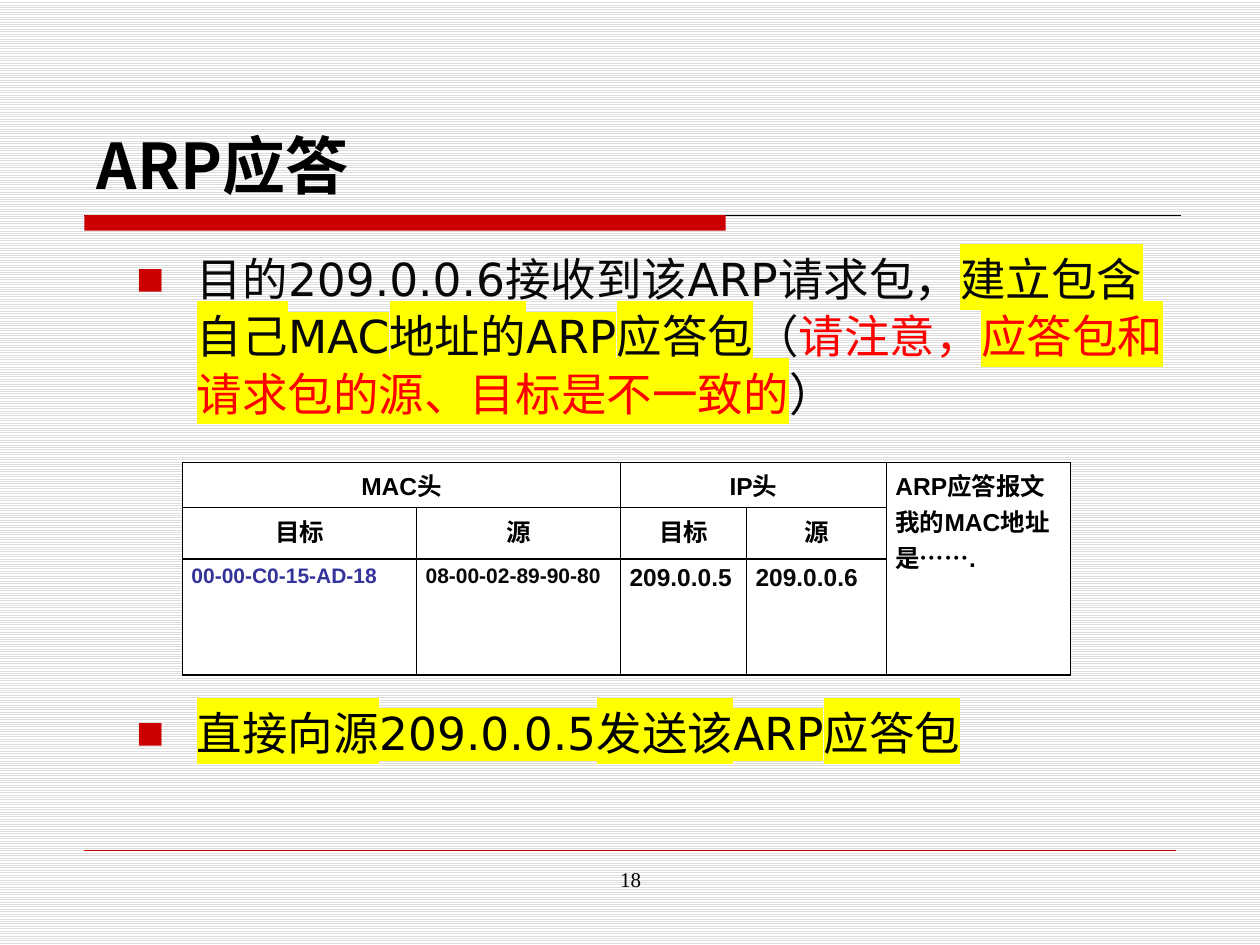
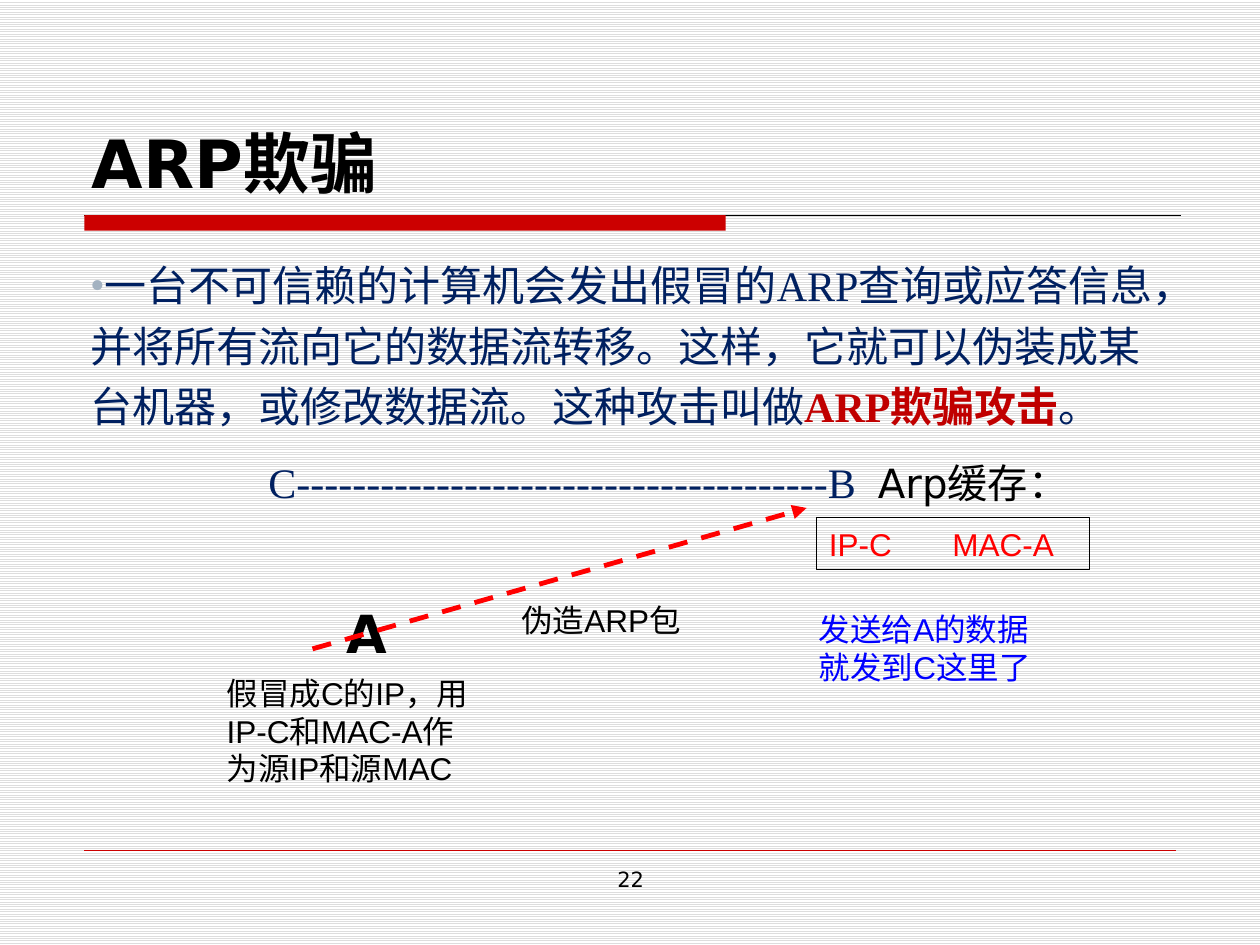
from lxml import etree
from pptx import Presentation
from pptx.dml.color import RGBColor
from pptx.enum.dml import MSO_LINE, MSO_PATTERN
from pptx.enum.shapes import MSO_CONNECTOR, MSO_SHAPE
from pptx.enum.text import MSO_ANCHOR, PP_ALIGN
from pptx.oxml.ns import qn
from pptx.util import Cm, Pt

BLACK, INK, WHITE, RED = "000000", "080808", "FFFFFF", "FF0000"
ACCENT, STRIPE, YELLOW = "CC0000", "DDDDDD", "FFFF00"
NAVY, DARK_RED, BLUE, INDIGO, GREY = "002060", "C00000", "0000FF", "333399", "A3B2C1"
SANS, CJK, SERIF, ARIAL = "DejaVu Sans", "Noto Sans CJK SC", "Times New Roman", "Arial"
POINT_SPACING, BODY_SPACING = 1.05, 1.2

REPLY = {"title": "ARP应答", "font": CJK, "size": 36, "left": 1.7, "page": "18", "page_font": SERIF}
SPOOFING = {"title": "ARP欺骗", "font": SANS, "size": 38, "left": 1.6, "page": "22", "page_font": SANS}

REPLY_POINTS = [
    ((1.21, 4.88, 22.86, 4.2), [
        ("目的209.0.0.6接收到该ARP请求包，", INK, None),
        ("建立包含自己MAC地址的ARP应答包", INK, YELLOW),
        ("（", INK, None),
        ("请注意，", RED, None),
        ("应答包和请求包的源、目标是不一致的", RED, YELLOW),
        ("）", BLACK, None),
    ]),
    ((1.21, 14.03, 22.86, 1.6), [("直接向源209.0.0.5发送该ARP应答包", BLACK, YELLOW)]),
]

COLUMN_WIDTHS = [4.72, 4.11, 2.54, 2.82, 3.71]
ROW_HEIGHTS = [0.91, 1.04, 2.34]
PACKET_ROWS = [
    ["MAC头", "", "IP头", "", "ARP应答报文\n我的MAC地址是……."],
    ["目标", "源", "目标", "源", ""],
    ["00-00-C0-15-AD-18", "08-00-02-89-90-80", "209.0.0.5", "209.0.0.6", ""],
]
MERGES = [((0, 0), (0, 1)), ((0, 2), (0, 3)), ((0, 4), (2, 4))]
ADDRESS_STYLES = {(2, 0): (12, INDIGO), (2, 1): (12, INK), (2, 2): (14, INK), (2, 3): (14, INK)}

SPOOFING_TEXT = [
    ("一台不可信赖的计算机会发出假冒的ARP查询或应答信息，并将所有流向它的数据流转移。"
     "这样，它就可以伪装成某台机器，或修改数据流。这种攻击叫做", NAVY, False),
    ("ARP欺骗攻击", DARK_RED, True),
    ("。", NAVY, False),
]
DIAGRAM_LABELS = [
    ((5.16, 9.07, 12.4, 1.2), "C" + "-" * 38 + "B", 24, SERIF, NAVY, False),
    ((17.45, 9.12, 5, 1.3), "Arp缓存：", 23, SANS, BLACK, False),
    ((6.73, 11.99, 1.5, 1.5), "A", 30, SANS, BLACK, True),
    ((4.32, 13.46, 5.64, 3.3), "假冒成C的IP，用IP-C和MAC-A作为源IP和源MAC", 18, ARIAL, BLACK, False),
    ((10.26, 11.99, 4.04, 1), "伪造ARP包", 18, ARIAL, BLACK, False),
    ((16.26, 12.17, 4.8, 2.6), "发送给A的数据就发到C这里了", 18, ARIAL, BLUE, False),
]
CACHE_BOX = (16.46, 10.44, 5.51, 1.04)
FORGED_ARROW = (6.3, 13.08, 16.26, 10.24)


def rgb(value):
    return RGBColor.from_string(value)


def cms(values):
    return [Cm(value) for value in values]


def add_child(parent, tag, **attributes):
    return etree.SubElement(parent, qn(tag), attributes)


def add_run(paragraph, text, size, font, color, bold=False, highlight=None):
    run = paragraph.add_run()
    run.text = text
    run.font.size = Pt(size)
    run.font.bold = bold
    run.font.name = font
    run.font.color.rgb = rgb(color)
    properties = run.font._element
    east_asian = etree.Element(qn("a:ea"), typeface=CJK)
    properties.find(qn("a:latin")).addnext(east_asian)
    if highlight:
        marker = etree.Element(qn("a:highlight"))
        add_child(marker, "a:srgbClr", val=highlight)
        properties.find(qn("a:solidFill")).addnext(marker)


def add_text(slide, box, spacing=1.0):
    frame = slide.shapes.add_textbox(*cms(box)).text_frame
    frame.word_wrap = True
    paragraph = frame.paragraphs[0]
    paragraph.line_spacing = spacing
    return paragraph


def set_bullet(paragraph, character, color, font, percent, margin, indent):
    properties = paragraph._p.get_or_add_pPr()
    properties.set("marL", str(Cm(margin)))
    properties.set("indent", str(Cm(indent)))
    add_child(add_child(properties, "a:buClr"), "a:srgbClr", val=color)
    add_child(properties, "a:buSzPct", val=str(percent * 1000))
    add_child(properties, "a:buFont", typeface=font)
    add_child(properties, "a:buChar", char=character)


def add_line(slide, ends, color, width):
    line = slide.shapes.add_connector(MSO_CONNECTOR.STRAIGHT, *cms(ends))
    line.line.color.rgb = rgb(color)
    line.line.width = Pt(width)
    add_child(line._element.spPr, "a:effectLst")
    return line


def add_slide(presentation, style):
    slide = presentation.slides.add_slide(presentation.slide_layouts[5])
    background = slide.background.fill
    background.patterned()
    background.pattern = MSO_PATTERN.LIGHT_HORIZONTAL
    background.fore_color.rgb = rgb(STRIPE)
    background.back_color.rgb = rgb(WHITE)

    add_line(slide, (1.7, 4.34, 23.8, 4.34), BLACK, 0.75)
    band = slide.shapes.add_shape(MSO_SHAPE.RECTANGLE, *cms((1.7, 4.34, 12.93, 0.31)))
    band.shadow.inherit = False
    band.fill.solid()
    band.fill.fore_color.rgb = rgb(ACCENT)
    band.line.fill.background()
    add_line(slide, (1.7, 17.15, 23.7, 17.15), ACCENT, 0.25)

    title = slide.shapes.title
    title.left, title.top, title.width, title.height = cms((style["left"], 0.7, 22.2, 3.5))
    title.text_frame.vertical_anchor = MSO_ANCHOR.BOTTOM
    heading = title.text_frame.paragraphs[0]
    heading.alignment = PP_ALIGN.LEFT
    add_run(heading, style["title"], style["size"], style["font"], BLACK, True)

    number = add_text(slide, (8.69, 17.35, 8.05, 1.32))
    number.alignment = PP_ALIGN.CENTER
    add_run(number, style["page"], 12, style["page_font"], BLACK)
    return slide


def set_borders(cell):
    properties = cell._tc.get_or_add_tcPr()
    for position, side in enumerate("LRTB"):
        border = etree.Element(qn(f"a:ln{side}"), w=str(Pt(1)))
        add_child(add_child(border, "a:solidFill"), "a:srgbClr", val=BLACK)
        properties.insert(position, border)


def add_packet_table(slide):
    size = sum(COLUMN_WIDTHS), sum(ROW_HEIGHTS)
    table = slide.shapes.add_table(
        len(ROW_HEIGHTS), len(COLUMN_WIDTHS), *cms((3.68, 9.32, *size))).table
    for column, width in zip(table.columns, COLUMN_WIDTHS):
        column.width = Cm(width)
    for row, height in zip(table.rows, ROW_HEIGHTS):
        row.height = Cm(height)
    for start, end in MERGES:
        table.cell(*start).merge(table.cell(*end))
    for row_index, texts in enumerate(PACKET_ROWS):
        for column_index, text in enumerate(texts):
            cell = table.cell(row_index, column_index)
            cell.fill.solid()
            cell.fill.fore_color.rgb = rgb(WHITE)
            cell.margin_left = cell.margin_right = Cm(0.18)
            cell.margin_top = cell.margin_bottom = Cm(0.1)
            set_borders(cell)
            if not text:
                continue
            font_size, color = ADDRESS_STYLES.get((row_index, column_index), (14, BLACK))
            centered = row_index < 2 and column_index < 4
            for line_index, line in enumerate(text.split("\n")):
                frame = cell.text_frame
                paragraph = frame.add_paragraph() if line_index else frame.paragraphs[0]
                paragraph.alignment = PP_ALIGN.CENTER if centered else PP_ALIGN.LEFT
                add_run(paragraph, line, font_size, ARIAL, color, True)


def add_cache_box(slide):
    box = slide.shapes.add_shape(MSO_SHAPE.RECTANGLE, *cms(CACHE_BOX))
    box.shadow.inherit = False
    box.fill.background()
    box.line.color.rgb = rgb(BLACK)
    box.line.width = Pt(0.75)
    paragraph = box.text_frame.paragraphs[0]
    paragraph.alignment = PP_ALIGN.LEFT
    tabs = add_child(paragraph._p.get_or_add_pPr(), "a:tabLst")
    add_child(tabs, "a:tab", pos=str(Cm(2.49)), algn="l")
    add_run(paragraph, "IP-C\tMAC-A", 18, ARIAL, RED)


def build_reply(presentation):
    slide = add_slide(presentation, REPLY)
    for box, runs in REPLY_POINTS:
        paragraph = add_text(slide, box, POINT_SPACING)
        set_bullet(paragraph, "■", ACCENT, SANS, 65, 2.51, -1.22)
        for text, color, highlight in runs:
            add_run(paragraph, text, 26, SANS, color, highlight=highlight)
    add_packet_table(slide)


def build_spoofing(presentation):
    slide = add_slide(presentation, SPOOFING)
    paragraph = add_text(slide, (1.57, 4.91, 22.22, 4), BODY_SPACING)
    set_bullet(paragraph, "•", GREY, SERIF, 100, 0, -1.09)
    for text, color, bold in SPOOFING_TEXT:
        add_run(paragraph, text, 24, SERIF, color, bold)
    for box, text, size, font, color, bold in DIAGRAM_LABELS:
        add_run(add_text(slide, box), text, size, font, color, bold)
    arrow = add_line(slide, FORGED_ARROW, RED, 2.75)
    arrow.line.dash_style = MSO_LINE.DASH
    add_child(arrow.line._get_or_add_ln(), "a:tailEnd", type="triangle")
    add_cache_box(slide)


def main():
    presentation = Presentation()
    presentation.slide_width, presentation.slide_height = cms((25.4, 19.05))
    build_reply(presentation)
    build_spoofing(presentation)
    presentation.save("out.pptx")


if __name__ == "__main__":
    main()
